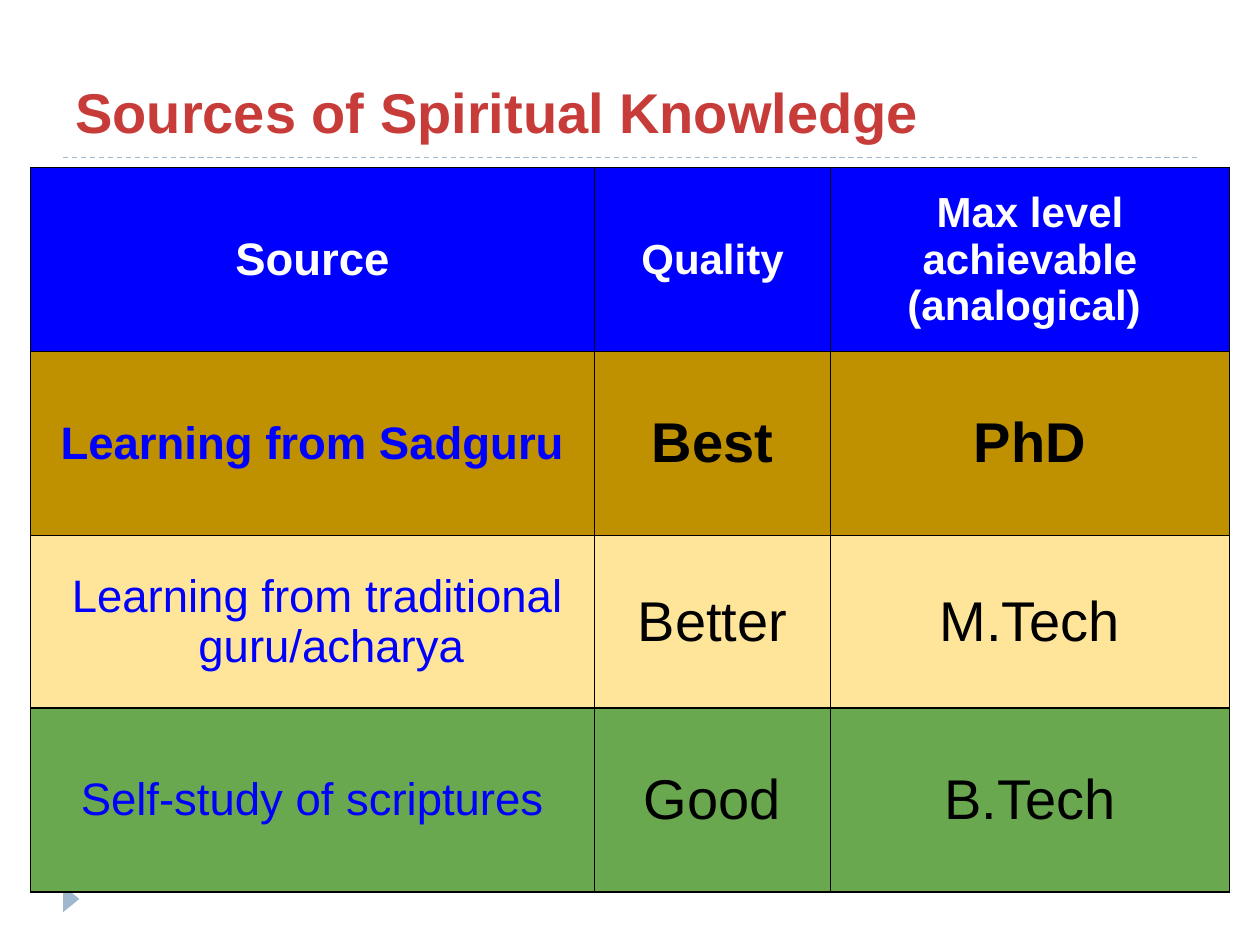
from dataclasses import dataclass

from lxml.etree import SubElement
from pptx import Presentation
from pptx.dml.color import RGBColor
from pptx.enum.dml import MSO_LINE
from pptx.enum.shapes import MSO_CONNECTOR, MSO_SHAPE
from pptx.enum.text import MSO_ANCHOR, PP_ALIGN
from pptx.oxml.ns import qn
from pptx.util import Inches, Pt

FONT = "Arial"
RED = RGBColor(0xC7, 0x3C, 0x39)
BLUE = RGBColor(0x00, 0x00, 0xFF)
WHITE = RGBColor(0xFF, 0xFF, 0xFF)
BLACK = RGBColor(0x00, 0x00, 0x00)
GOLD = RGBColor(0xBF, 0x90, 0x00)
CREAM = RGBColor(0xFF, 0xE5, 0x99)
GREEN = RGBColor(0x6A, 0xA8, 0x4F)
PALE_BLUE = RGBColor(0x9F, 0xB8, 0xCD)

MARGIN = Inches(0.1)
COLUMN_WIDTHS = (4.48, 1.87, 3.17)


@dataclass(frozen=True)
class Level:
    """One table row: its texts and how they look."""
    texts: tuple[str, str, str]
    fill: RGBColor
    height: float = 1.46
    bold: bool = False
    sizes: tuple[int, int, int] = (26, 32, 32)
    colors: tuple[RGBColor, RGBColor, RGBColor] = (BLUE, BLACK, BLACK)
    hanging: bool = False


LEVELS = (
    Level(("Source", "Quality", "Max level achievable (analogical) "), BLUE,
          bold=True, sizes=(26, 24, 24), colors=(WHITE, WHITE, WHITE)),
    Level(("Learning from Sadguru", "Best", "PhD"), GOLD, bold=True),
    Level(("Learning from traditional guru/acharya", "Better", "M.Tech"), CREAM,
          height=1.37, hanging=True),
    Level(("Self-study of scriptures", "Good", "B.Tech"), GREEN),
)


def add_run(paragraph, text: str, size: int, color: RGBColor, bold: bool) -> None:
    run = paragraph.add_run()
    run.text = text
    run.font.name = FONT
    run.font.size = Pt(size)
    run.font.bold = bold
    run.font.color.rgb = color


def set_margins(box) -> None:
    box.margin_left = box.margin_right = MARGIN
    box.margin_top = box.margin_bottom = MARGIN


def add_borders(cell) -> None:
    properties = cell._tc.get_or_add_tcPr()
    for position, side in enumerate(("lnL", "lnR", "lnT", "lnB")):
        border = properties.makeelement(qn(f"a:{side}"), {"w": str(Pt(0.75))})
        fill = SubElement(border, qn("a:solidFill"))
        SubElement(fill, qn("a:srgbClr"), val=str(BLACK))
        properties.insert(position, border)


def fill_cell(cell, level: Level, column: int) -> None:
    cell.fill.solid()
    cell.fill.fore_color.rgb = level.fill
    cell.vertical_anchor = MSO_ANCHOR.MIDDLE
    set_margins(cell)
    add_borders(cell)
    paragraph = cell.text_frame.paragraphs[0]
    paragraph.alignment = PP_ALIGN.CENTER
    if level.hanging and column == 0:
        properties = paragraph._p.get_or_add_pPr()
        properties.set("marL", str(Inches(0.3)))
        properties.set("indent", str(Inches(-0.22)))
    add_run(paragraph, level.texts[column], level.sizes[column],
            level.colors[column], level.bold)


def add_decoration(slide) -> None:
    rule = slide.shapes.add_connector(
        MSO_CONNECTOR.STRAIGHT, Inches(0.5), Inches(1.25), Inches(9.5), Inches(1.25))
    rule.line.color.rgb = PALE_BLUE
    rule.line.width = Pt(0.75)
    rule.line.dash_style = MSO_LINE.DASH
    SubElement(rule._element.spPr, qn("a:effectLst"))

    marker = slide.shapes.add_shape(
        MSO_SHAPE.ISOSCELES_TRIANGLE, Inches(0.46), Inches(7.07), Inches(0.21), Inches(0.13))
    marker.rotation = 90
    marker.shadow.inherit = False
    marker.fill.solid()
    marker.fill.fore_color.rgb = PALE_BLUE
    marker.line.fill.background()


def add_title(slide, text: str) -> None:
    title = slide.shapes.add_textbox(Inches(0.5), Inches(0.17), Inches(9), Inches(1.08))
    frame = title.text_frame
    frame.word_wrap = True
    frame.vertical_anchor = MSO_ANCHOR.BOTTOM
    set_margins(frame)
    add_run(frame.paragraphs[0], text, 32, RED, True)


def add_levels(slide, levels: tuple[Level, ...]) -> None:
    width = Inches(sum(COLUMN_WIDTHS))
    height = Inches(sum(level.height for level in levels))
    table = slide.shapes.add_table(
        len(levels), len(COLUMN_WIDTHS), Inches(0.24), Inches(1.33), width, height).table
    table.first_row = table.horz_banding = False
    for column, column_width in zip(table.columns, COLUMN_WIDTHS):
        column.width = Inches(column_width)
    for row, level in zip(table.rows, levels):
        row.height = Inches(level.height)
        for column, cell in enumerate(row.cells):
            fill_cell(cell, level, column)


def main() -> None:
    presentation = Presentation()
    presentation.slide_width = Inches(10)
    presentation.slide_height = Inches(7.5)
    slide = presentation.slides.add_slide(presentation.slide_layouts[6])

    # Rule under the title and corner marker, behind the table
    add_decoration(slide)
    # Title
    add_title(slide, "Sources of Spiritual Knowledge")
    # Comparison of sources
    add_levels(slide, LEVELS)

    presentation.save("out.pptx")


if __name__ == "__main__":
    main()
